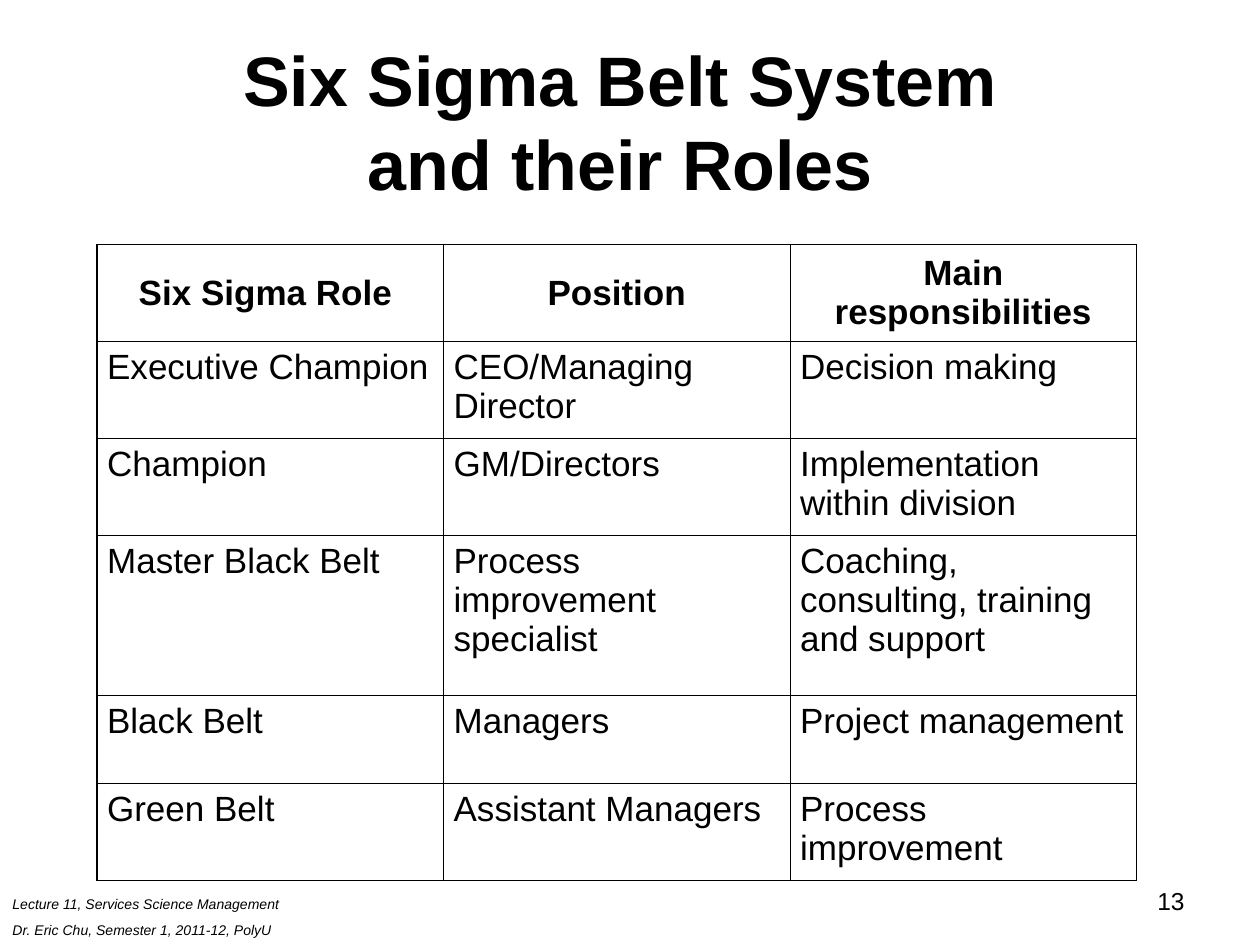
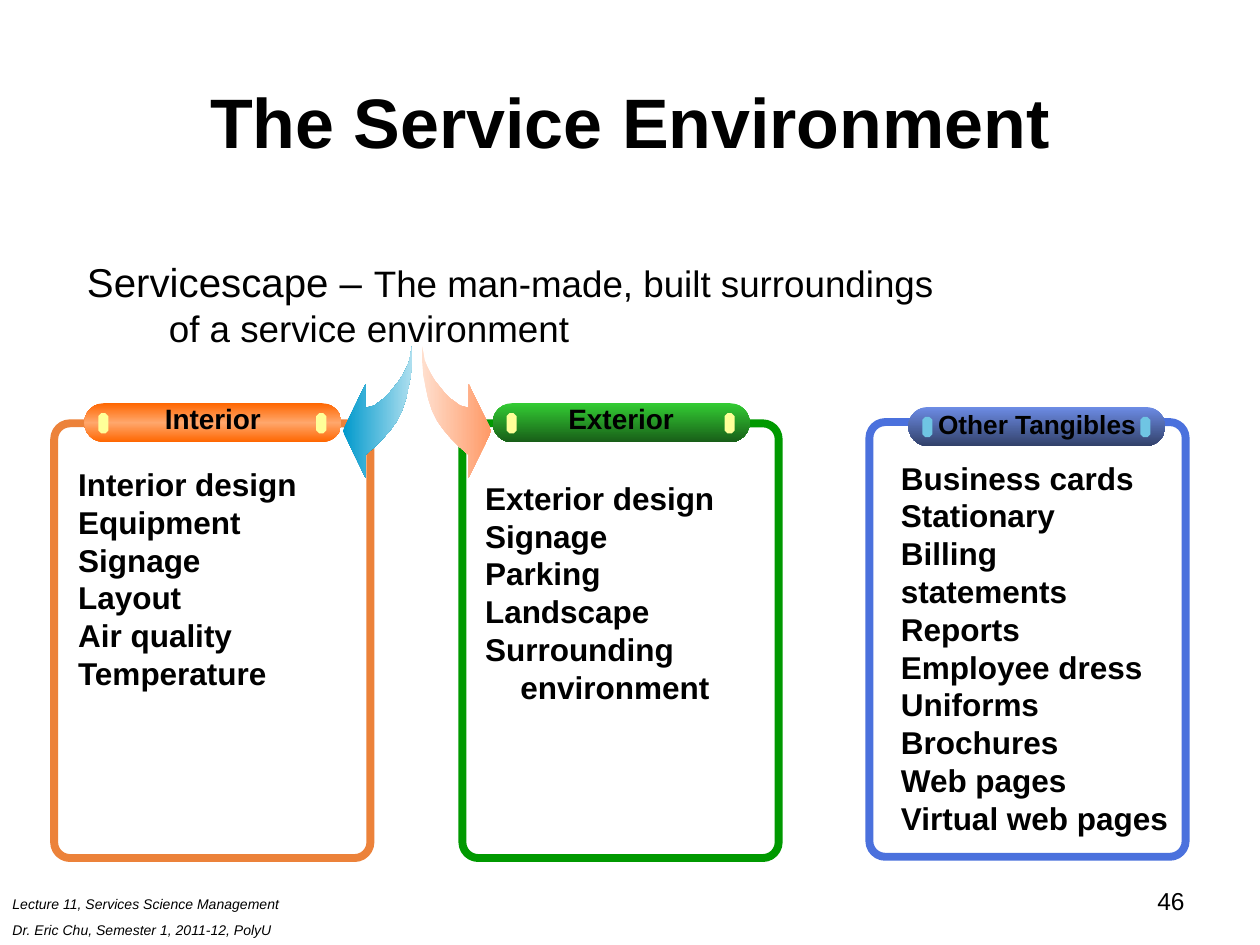
from dataclasses import dataclass

from lxml.etree import SubElement
from pptx import Presentation
from pptx.dml.color import RGBColor
from pptx.enum.shapes import MSO_SHAPE
from pptx.enum.text import MSO_ANCHOR, MSO_AUTO_SIZE, PP_ALIGN
from pptx.oxml.ns import qn
from pptx.util import Emu, Pt

EMU_PER_PX = 9144
FONT = "Arial"
BLACK = RGBColor(0x00, 0x00, 0x00)
ORANGE = RGBColor(0xFF, 0x66, 0x00)
LIGHT_ORANGE = RGBColor(0xFF, 0xA7, 0x6C)
ORANGE_FRAME = RGBColor(0xEC, 0x82, 0x3A)
GREEN = RGBColor(0x33, 0xCC, 0x33)
DARK_GREEN = RGBColor(0x18, 0x5E, 0x18)
GREEN_FRAME = RGBColor(0x00, 0x99, 0x00)
BLUE = RGBColor(0x6D, 0x8C, 0xE5)
DARK_BLUE = RGBColor(0x32, 0x41, 0x6A)
BLUE_FRAME = RGBColor(0x4B, 0x71, 0xDD)
YELLOW = RGBColor(0xFF, 0xFF, 0x99)
SKY = RGBColor(0x6F, 0xC5, 0xE3)
CYAN = RGBColor(0x00, 0x99, 0xCC)
PALE_CYAN = RGBColor(0xAE, 0xDF, 0xEF)
SALMON = RGBColor(0xFF, 0x99, 0x66)
PALE_SALMON = RGBColor(0xFF, 0xDF, 0xCE)

THIN_BORDER, OUTER_BORDER = 0.45, 1.08
TITLE_ONLY_LAYOUT, COMPARISON_LAYOUT = 5, 4


@dataclass(frozen=True)
class Box:
    left: int
    top: int
    width: int
    height: int

    def emu(self) -> tuple:
        return tuple(px(side) for side in (self.left, self.top, self.width, self.height))


@dataclass(frozen=True)
class Run:
    text: str
    size: int
    bold: bool = False
    italic: bool = False


@dataclass(frozen=True)
class Line:
    runs: tuple
    indent: int = 0
    alignment: PP_ALIGN = PP_ALIGN.LEFT
    space_before: int = 0


@dataclass(frozen=True)
class Panel:
    label: str
    label_size: int
    label_rise: int
    frame_left: int
    frame_top: int
    pill_left: int
    pill_top: int
    list_box: Box
    frame_color: RGBColor
    pill_colors: tuple
    marker_color: RGBColor
    items: tuple
    continuation: str = ""


@dataclass(frozen=True)
class CurvedArrow:
    tail: int
    direction: int
    colors: tuple


FOOTER_BOX = Box(0, 706, 281, 44)
NUMBER_BOX = Box(717, 698, 233, 52)
TITLE_BOX = Box(50, 33, 900, 125)
INTRO_BOX = Box(59, 199, 741, 84)

FOOTER = ("Lecture 11, Services Science Management", "Dr. Eric Chu, Semester 1, 2011-12, PolyU")

TABLE_BOX = Box(77, 194, 825, 505)
ROW_HEIGHTS = (77, 77, 77, 127, 70, 77)
BELT_ROLES = (
    ("Six Sigma Role ", "Position", "Main responsibilities"),
    ("Executive Champion", "CEO/Managing Director", "Decision making"),
    ("Champion", "GM/Directors", "Implementation within division"),
    ("Master Black Belt", "Process improvement specialist",
     "Coaching, consulting, training and support"),
    ("Black Belt", "Managers", "Project management"),
    ("Green Belt", "Assistant Managers", "Process improvement"),
)

PANELS = (
    Panel("Interior", 16, 6, 43, 336, 67, 320, Box(52, 364, 233, 190),
          ORANGE_FRAME, (ORANGE, LIGHT_ORANGE, ORANGE), YELLOW,
          ("Interior design", "Equipment", "Signage", "Layout", "Air quality", "Temperature")),
    Panel("Exterior", 16, 6, 367, 336, 391, 320, Box(375, 375, 233, 190),
          GREEN_FRAME, (GREEN, DARK_GREEN), YELLOW,
          ("Exterior design", "Signage", "Parking", "Landscape", "Surrounding"),
          "environment"),
    Panel("Other Tangibles", 15, 4, 690, 335, 721, 323, Box(705, 359, 233, 310),
          BLUE_FRAME, (BLUE, DARK_BLUE), SKY,
          ("Business cards", "Stationary", "Billing statements", "Reports", "Employee dress",
           "Uniforms", "Brochures", "Web pages", "Virtual web pages")),
)

ARROWS = (
    CurvedArrow(327, -1, (CYAN, PALE_CYAN)),
    CurvedArrow(335, 1, (PALE_SALMON, SALMON)),
)
ARROW_OUTLINE = (
    (0, 275), (0, 287), (1, 298), (3, 308), (5, 317), (8, 326), (12, 334), (17, 341),
    (23, 348), (30, 355), (37, 361), (37, 379), (55, 342), (37, 305), (37, 324), (34, 323),
    (30, 322), (26, 319), (22, 316), (18, 312), (14, 307), (10, 302), (7, 297), (4, 291),
    (2, 286), (1, 280),
)


def px(length: int) -> Emu:
    return Emu(length * EMU_PER_PX)


def add_run(paragraph, run: Run) -> None:
    text_run = paragraph.add_run()
    text_run.text = run.text
    font = text_run.font
    font.name = FONT
    font.size = Pt(run.size)
    font.bold = run.bold
    font.italic = run.italic
    font.color.rgb = BLACK


def write_lines(text_frame, lines: list) -> None:
    text_frame.word_wrap = True
    for index, line in enumerate(lines):
        paragraph = text_frame.add_paragraph() if index else text_frame.paragraphs[0]
        properties = paragraph._p.get_or_add_pPr()
        properties.set("marL", str(px(line.indent)))
        properties.set("indent", "0")
        SubElement(properties, qn("a:buNone"))
        paragraph.alignment = line.alignment
        paragraph.space_before = Pt(line.space_before if index else 0)
        for run in line.runs:
            add_run(paragraph, run)


def add_text(slide, box: Box, lines: list) -> None:
    write_lines(slide.shapes.add_textbox(*box.emu()).text_frame, lines)


def place_placeholder(shape, box: Box, anchor: MSO_ANCHOR):
    shape.left, shape.top, shape.width, shape.height = box.emu()
    shape.text_frame.auto_size = MSO_AUTO_SIZE.NONE
    shape.text_frame.vertical_anchor = anchor
    return shape.text_frame


def add_page(presentation, layout: int, title_lines: tuple, number: str):
    slide = presentation.slides.add_slide(presentation.slide_layouts[layout])
    text_frame = place_placeholder(slide.shapes.title, TITLE_BOX, MSO_ANCHOR.MIDDLE)
    write_lines(text_frame, [Line((), alignment=PP_ALIGN.CENTER)])
    paragraph = text_frame.paragraphs[0]
    for index, text in enumerate(title_lines):
        if index:
            paragraph.add_line_break()
        add_run(paragraph, Run(text, 40, bold=True))
    add_text(slide, FOOTER_BOX, [
        Line((Run(text, 8, italic=True),), space_before=5) for text in FOOTER])
    add_text(slide, NUMBER_BOX, [Line((Run(number, 14),), alignment=PP_ALIGN.RIGHT)])
    return slide


def set_borders(cell, widths: dict) -> None:
    properties = cell._tc.get_or_add_tcPr()
    for position, (side, width) in enumerate(widths.items()):
        border = SubElement(properties, qn(f"a:ln{side}"), w=str(Pt(width)))
        fill = SubElement(border, qn("a:solidFill"))
        SubElement(fill, qn("a:srgbClr"), val=str(BLACK))
        properties.insert(position, border)


def add_roles_table(slide) -> None:
    row_count, column_count = len(BELT_ROLES), len(BELT_ROLES[0])
    table = slide.shapes.add_table(row_count, column_count, *TABLE_BOX.emu()).table
    table.first_row = table.horz_banding = False
    for column in table.columns:
        column.width = px(TABLE_BOX.width // column_count)
    for row_index, (texts, height) in enumerate(zip(BELT_ROLES, ROW_HEIGHTS)):
        table.rows[row_index].height = px(height)
        header = row_index == 0
        for column_index, text in enumerate(texts):
            cell = table.cell(row_index, column_index)
            cell.fill.background()
            cell.margin_left = cell.margin_right = px(8)
            cell.margin_top = cell.margin_bottom = px(5)
            cell.vertical_anchor = MSO_ANCHOR.MIDDLE if header else MSO_ANCHOR.TOP
            write_lines(cell.text_frame, [Line(
                (Run(text, 20, bold=header),),
                alignment=PP_ALIGN.CENTER if header else PP_ALIGN.LEFT)])
            outer = {"L": column_index == 0, "R": column_index == column_count - 1,
                     "T": header, "B": row_index == row_count - 1}
            set_borders(cell, {side: OUTER_BORDER if is_outer else THIN_BORDER
                               for side, is_outer in outer.items()})


def fill_gradient(shape, colors: tuple, angle: int) -> None:
    shape.fill.gradient()
    shape.fill.gradient_angle = angle
    stops = shape._element.spPr.find(qn("a:gradFill")).find(qn("a:gsLst"))
    for stop in list(stops):
        stops.remove(stop)
    for index, color in enumerate(colors):
        position = index * 100000 // (len(colors) - 1)
        stop = SubElement(stops, qn("a:gs"), pos=str(position))
        SubElement(stop, qn("a:srgbClr"), val=str(color))


def add_plain_shape(slide, kind: MSO_SHAPE, box: Box, adjustment: float):
    shape = slide.shapes.add_shape(kind, *box.emu())
    shape.shadow.inherit = False
    shape.adjustments[0] = adjustment
    shape.line.fill.background()
    return shape


def add_panel(slide, panel: Panel, list_placeholder) -> None:
    frame = add_plain_shape(slide, MSO_SHAPE.ROUNDED_RECTANGLE,
                            Box(panel.frame_left, panel.frame_top, 251, 345), 0.05)
    frame.fill.background()
    frame.line.color.rgb = panel.frame_color
    frame.line.width = Pt(4.5)

    pill = add_plain_shape(slide, MSO_SHAPE.ROUNDED_RECTANGLE,
                           Box(panel.pill_left, panel.pill_top, 204, 31), 0.5)
    fill_gradient(pill, panel.pill_colors, 270)
    for offset in (11, 184):
        marker = add_plain_shape(slide, MSO_SHAPE.OCTAGON,
                                 Box(panel.pill_left + offset, panel.pill_top + 8, 8, 16), 0.29)
        marker.fill.solid()
        marker.fill.fore_color.rgb = panel.marker_color
    add_text(slide, Box(panel.pill_left, panel.pill_top - panel.label_rise, 204, 37),
             [Line((Run(panel.label, panel.label_size, bold=True),), alignment=PP_ALIGN.CENTER)])

    lines = [Line((Run(item, 18, bold=True),)) for item in panel.items]
    if panel.continuation:
        lines.append(Line((Run(panel.continuation, 18, bold=True),), indent=28))
    write_lines(place_placeholder(list_placeholder, panel.list_box, MSO_ANCHOR.TOP), lines)


def add_curved_arrow(slide, arrow: CurvedArrow) -> None:
    points = [(px(arrow.tail + arrow.direction * offset), px(y)) for offset, y in ARROW_OUTLINE]
    builder = slide.shapes.build_freeform(*points[0])
    builder.add_line_segments(points[1:], close=True)
    shape = builder.convert_to_shape()
    shape.shadow.inherit = False
    shape.line.fill.background()
    fill_gradient(shape, arrow.colors, 0)


def build_belt_slide(presentation) -> None:
    slide = add_page(presentation, TITLE_ONLY_LAYOUT,
                     ("Six Sigma Belt System ", "and their Roles "), "13")
    add_roles_table(slide)


def build_environment_slide(presentation) -> None:
    slide = add_page(presentation, COMPARISON_LAYOUT, ("The Service Environment",), "46")
    intro, *lists = list(slide.placeholders)[1:]
    write_lines(place_placeholder(intro, INTRO_BOX, MSO_ANCHOR.TOP), [
        Line((Run("Servicescape – ", 23), Run("The man-made, built surroundings", 21))),
        Line((Run("of a service environment", 21),), indent=65),
    ])
    for panel, list_placeholder in zip(PANELS, lists):
        add_panel(slide, panel, list_placeholder)
    for arrow in ARROWS:
        add_curved_arrow(slide, arrow)


def main() -> None:
    presentation = Presentation()
    presentation.slide_width, presentation.slide_height = px(1000), px(750)
    build_belt_slide(presentation)
    build_environment_slide(presentation)
    presentation.save("out.pptx")


if __name__ == "__main__":
    main()
